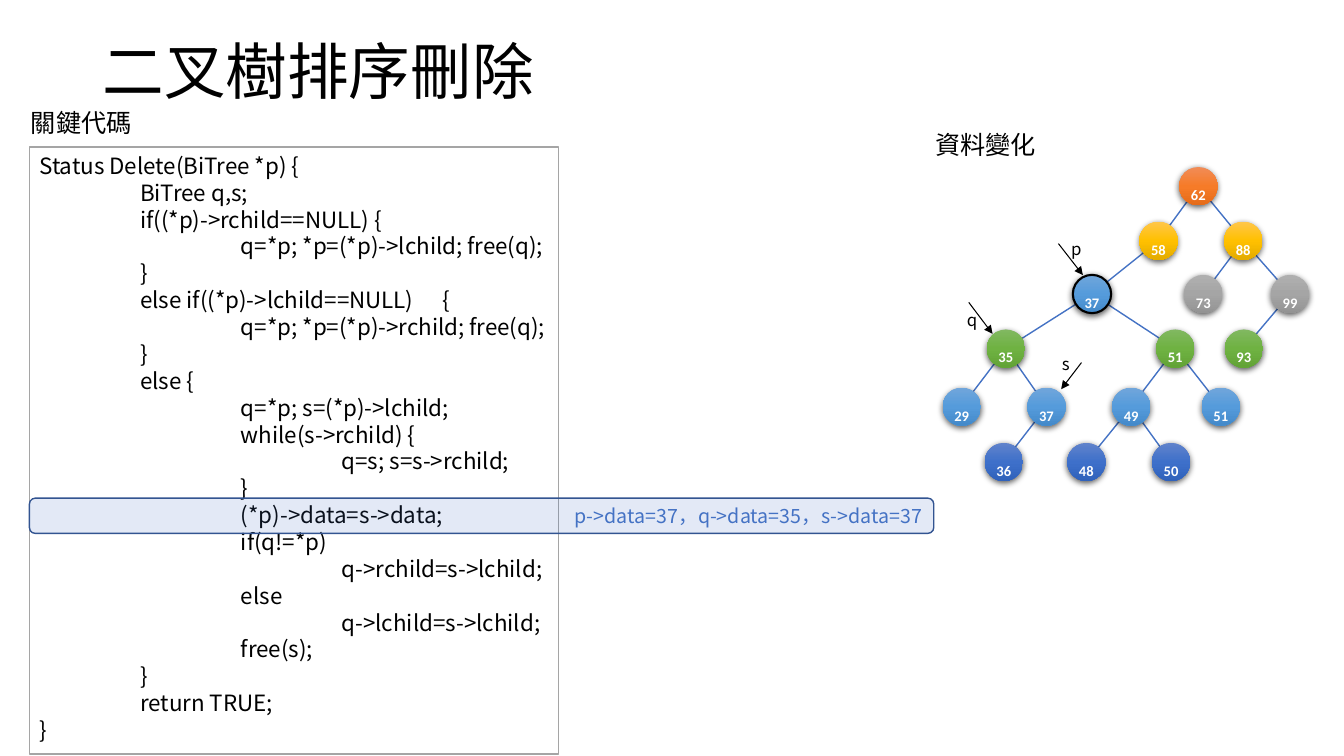
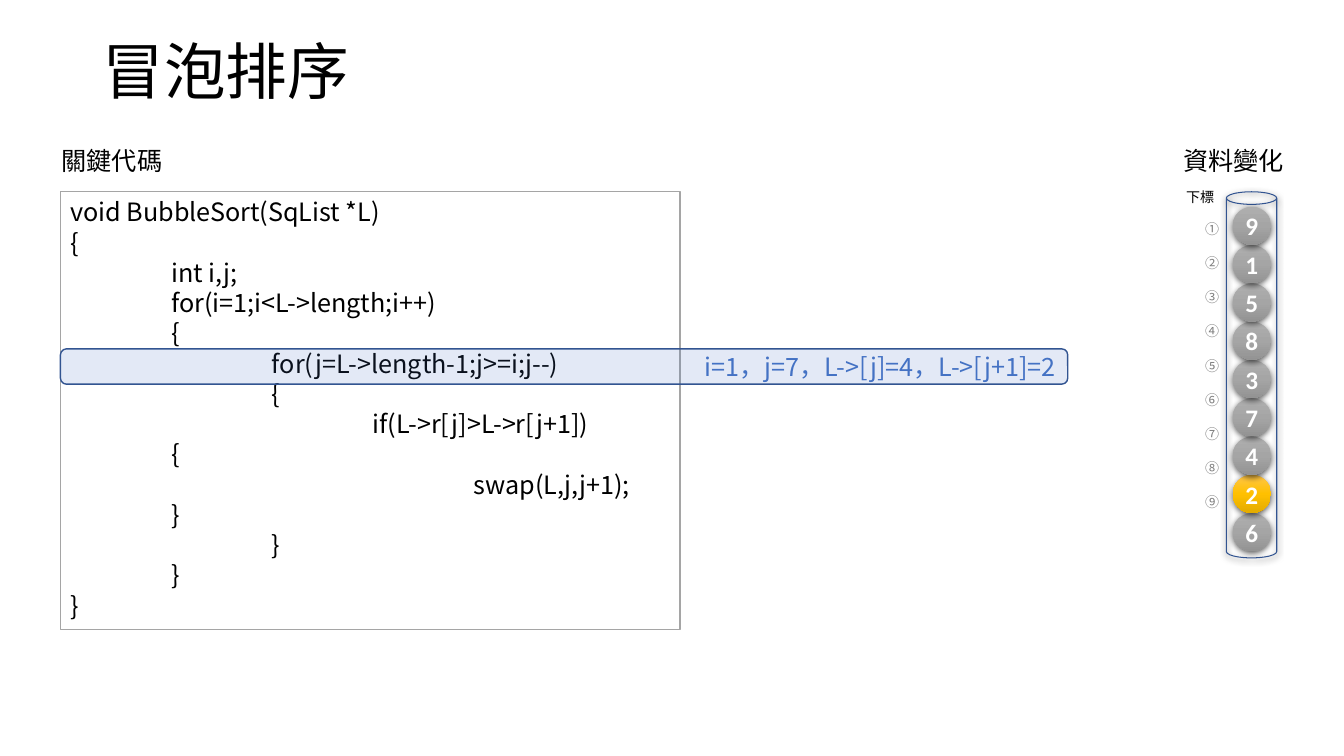
from copy import deepcopy

from lxml.etree import SubElement as Sub
from pptx import Presentation
from pptx.dml.color import RGBColor as Rgb
from pptx.enum.shapes import MSO_CONNECTOR as Wire, MSO_SHAPE as Kind
from pptx.enum.text import MSO_ANCHOR as Anchor, MSO_AUTO_SIZE as Fit, PP_ALIGN as Align
from pptx.oxml.ns import qn
from pptx.util import Pt

SANS = "Noto Sans CJK SC"
ROUND = "Calibri"
BLACK = Rgb(0x00, 0x00, 0x00)
WHITE = Rgb(0xFF, 0xFF, 0xFF)
GREY = Rgb(0xA5, 0xA5, 0xA5)
DIM = Rgb(0x80, 0x80, 0x80)
BLUE = Rgb(0x44, 0x72, 0xC4)
NAVY = Rgb(0x32, 0x54, 0x91)

# Ball colours from top to bottom
FIRE = (Rgb(0xF1, 0x8C, 0x57), Rgb(0xF6, 0x7B, 0x28), Rgb(0xE5, 0x6C, 0x19))
GOLD = (Rgb(0xFF, 0xC6, 0x4B), Rgb(0xFF, 0xC0, 0x00), Rgb(0xE3, 0xAB, 0x00))
STONE = (Rgb(0xAF, 0xAF, 0xAF), GREY, Rgb(0x93, 0x93, 0x93))
LEAF = (Rgb(0x81, 0xB8, 0x61), Rgb(0x6F, 0xB2, 0x42), Rgb(0x62, 0xA3, 0x36))
SKY = (Rgb(0x71, 0xA6, 0xDB), Rgb(0x55, 0x9B, 0xDB), Rgb(0x44, 0x8A, 0xCA))
SEA = (Rgb(0x61, 0x83, 0xCB), Rgb(0x3E, 0x70, 0xCA), Rgb(0x30, 0x62, 0xBB))

BALL = 27.36
TAB = 72
LEAD = 1.2

DELETE = """\
Status Delete(BiTree *p) {
    BiTree q,s;
    if((*p)->rchild==NULL) {
        q=*p; *p=(*p)->lchild; free(q);
    }
    else if((*p)->lchild==NULL)\t{
        q=*p; *p=(*p)->rchild; free(q);
    }
    else {
        q=*p; s=(*p)->lchild;
        while(s->rchild) {
            q=s; s=s->rchild;
        }
        (*p)->data=s->data;
        if(q!=*p)
            q->rchild=s->lchild;
        else
            q->lchild=s->lchild;
        free(s);
    }
    return TRUE;
}"""

BUBBLE = """\
void BubbleSort(SqList *L)
{
    int i,j;
    for(i=1;i<L->length;i++)
    {
        for(j=L->length-1;j>=i;j--)
        {
            if(L->r[j]>L->r[j+1])
    {
                swap(L,j,j+1);
    }
        }
    }
}"""

# Tree rows: centre height and colours
ROWS = [(133, FIRE), (172, GOLD), (210, STONE), (249, LEAF), (290.5, SKY), (330, SEA)]
# Tree nodes: number, centre x, row, index of the parent
NODES = [
    (62, 856, 0, None),
    (58, 827.5, 1, 0), (88, 888, 1, 0),
    (37, 780, 2, 1), (73, 859.5, 2, 2), (99, 921.5, 2, 2),
    (35, 718.5, 3, 3), (51, 839.5, 3, 3), (93, 888.5, 3, 5),
    (29, 687, 4, 6), (37, 747.5, 4, 6), (49, 808, 4, 7), (51, 872, 4, 7),
    (36, 717, 5, 10), (48, 776, 5, 11), (50, 836.5, 5, 11),
]
PICKED = 3
# Pointers: name, label corner, arrow start, arrow end
MARKS = [
    ("p", (758, 167), (756, 174), (773.5, 196.5)),
    ("s", (751.5, 249), (772.5, 259), (758, 278)),
    ("q", (683.5, 217.5), (692, 216), (709, 238.5)),
]
QUEUE = [9, 1, 5, 8, 3, 7, 4, 2, 6]
ACTIVE = 2


def put(para, text, size, color, face=SANS, bold=False):
    run = para.add_run()
    run.text = text
    font = run.font
    font.name, font.size, font.bold = face, Pt(size), bold
    font.color.rgb = color
    Sub(font._element, qn("a:ea"), typeface=face)
    return run


def frame(shape, anchor=Anchor.TOP, wrap=True, pad=None):
    body = shape.text_frame
    body.auto_size, body.word_wrap = Fit.NONE, wrap
    body.vertical_anchor = anchor
    if pad is not None:
        body.margin_left = body.margin_right = Pt(pad)
        body.margin_top = body.margin_bottom = Pt(pad)
    return body


def fill_in(body, lines, size, color, align=Align.LEFT, lead=None):
    """Write one paragraph per line; four leading spaces make one indent step."""
    for num, line in enumerate(lines):
        para = body.add_paragraph() if num else body.paragraphs[0]
        text = line.lstrip(" ")
        para.alignment = align
        para.line_spacing = Pt(lead or size * LEAD)
        props = para._p.get_or_add_pPr()
        step = (len(line) - len(text)) // 4
        props.set("marL", str(Pt(step * TAB)))
        props.set("indent", "0")
        if "\t" in text:
            tabs = Sub(props, qn("a:tabLst"))
            for stop in range(1, 6):
                Sub(tabs, qn("a:tab"), pos=str(Pt(stop * TAB)), algn="l")
        put(para, text, size, color)


def label(page, text, x, y, size=18, width=90, align=Align.LEFT):
    box = page.shapes.add_textbox(Pt(x), Pt(y), Pt(width), Pt(size * LEAD + 7.2))
    fill_in(frame(box, wrap=False), [text], size, BLACK, align)


def block(page, kind, x, y, width, height, edge, weight=1):
    shape = page.shapes.add_shape(kind, Pt(x), Pt(y), Pt(width), Pt(height))
    shape.shadow.inherit = False
    shape.line.color.rgb, shape.line.width = edge, Pt(weight)
    return shape


def code(page, text, size, x, y, width, height):
    box = block(page, Kind.RECTANGLE, x, y, width, height, GREY)
    box.fill.solid()
    box.fill.fore_color.rgb = WHITE
    fill_in(frame(box), text.split("\n"), size, BLACK)


def band(page, text, size, x, y, width):
    """Mark the current code line and show the values at its right end."""
    bar = block(page, Kind.ROUNDED_RECTANGLE, x, y, width, 25.2, NAVY)
    bar.fill.solid()
    bar.fill.fore_color.rgb = BLUE
    tint = bar._element.spPr.find(qn("a:solidFill"))[0]
    Sub(tint, qn("a:alpha"), val="15000")
    fill_in(frame(bar, Anchor.MIDDLE), [text], size, BLUE, Align.RIGHT)


def shade(shape):
    """Give the shape a soft shadow below."""
    fx = shape._element.spPr.find(qn("a:effectLst"))
    drop = Sub(fx, qn("a:outerShdw"), blurRad=str(Pt(4.5)), dist=str(Pt(1.5)),
               dir="5400000", algn="ctr", rotWithShape="0")
    tint = Sub(drop, qn("a:srgbClr"), val=str(BLACK))
    Sub(tint, qn("a:alpha"), val="63000")


def ball(page, num, x, y, tones, edge=None, low=False):
    """Draw a numbered ball centred on x, y; low sets the number as a subscript."""
    disc = block(page, Kind.OVAL, x - BALL / 2, y - BALL / 2, BALL, BALL, edge or BLACK, 1.5)
    if edge is None:
        disc.line.fill.background()
    disc.fill.gradient()
    disc.fill.gradient_angle = 270
    stops = disc._element.spPr.find(qn("a:gradFill")).find(qn("a:gsLst"))
    stops.append(deepcopy(stops[0]))
    for stop, spot, tone in zip(disc.fill.gradient_stops, (0, 0.5, 1), tones):
        stop.position, stop.color.rgb = spot, tone
    shade(disc)
    para = frame(disc, Anchor.MIDDLE, False, 0).paragraphs[0]
    para.alignment = Align.CENTER
    run = put(para, str(num), 18, WHITE, ROUND, True)
    if low:
        run.font._element.set("baseline", "-25000")


def link(page, start, end, color=BLUE, weight=1, arrow=False):
    wire = page.shapes.add_connector(Wire.STRAIGHT, *map(Pt, start + end))
    wire.line.color.rgb, wire.line.width = color, Pt(weight)
    if arrow:
        Sub(wire.line._get_or_add_ln(), qn("a:tailEnd"), type="triangle")
    Sub(wire._element.spPr, qn("a:effectLst"))


def tree(page):
    spots = [(x, ROWS[row][0]) for _, x, row, _ in NODES]
    for spot, (*_, top) in zip(spots, NODES):
        if top is not None:
            link(page, spots[top], spot)
    for pos, (num, x, row, _) in enumerate(NODES):
        y, tones = ROWS[row]
        if pos == PICKED:
            ball(page, num, x, y, SKY, BLACK, True)
        else:
            ball(page, num, x, y, tones, low=True)
    for name, spot, start, end in MARKS:
        link(page, start, end, BLACK, 0.75, True)
        label(page, name, *spot, size=12, width=21.6)


def tube(page):
    """Draw the upright queue of balls with its index column."""
    label(page, "下標", 836, 131, 10, 42.5, Align.CENTER)
    marks = page.shapes.add_textbox(Pt(848), Pt(145), Pt(35.5), Pt(220))
    fill_in(frame(marks, pad=0), "①②③④⑤⑥⑦⑧⑨", 10, DIM, Align.CENTER, 24.4)
    can = block(page, Kind.CAN, 876, 137, 36, 261.5, NAVY, 0.75)
    can.fill.background()
    shade(can)
    for pos, num in reversed(list(enumerate(QUEUE))):
        ball(page, num, 894.2, 161.3 + pos * BALL, GOLD if num == ACTIVE else STONE)


def add_page(deck, title):
    page = deck.slides.add_slide(deck.slide_layouts[5])
    head = page.shapes.title
    head.left, head.top, head.width, head.height = Pt(66), Pt(1), Pt(828), Pt(104)
    para = frame(head, Anchor.MIDDLE).paragraphs[0]
    para.alignment, para.line_spacing = Align.LEFT, 0.9
    put(para, title, 44, BLACK)
    return page


def main():
    deck = Presentation()
    deck.slide_width, deck.slide_height = Pt(960), Pt(540)

    page = add_page(deck, "二叉樹排序刪除")
    code(page, DELETE, 16, 21, 105, 378, 433.5)
    label(page, "關鍵代碼", 15, 73)
    label(page, "資料變化", 661, 88.5)
    band(page, "p->data=37，q->data=35，s->data=37", 14, 21, 355.8, 646)
    tree(page)

    page = add_page(deck, "冒泡排序")
    code(page, BUBBLE, 18, 43.2, 137, 442.5, 312.5)
    band(page, "i=1，j=7，L->[j]=4，L->[j+1]=2", 18, 43.2, 249.2, 719.5)
    label(page, "關鍵代碼", 36.8, 100)
    label(page, "資料變化", 838, 100)
    tube(page)

    deck.save("out.pptx")


if __name__ == "__main__":
    main()
